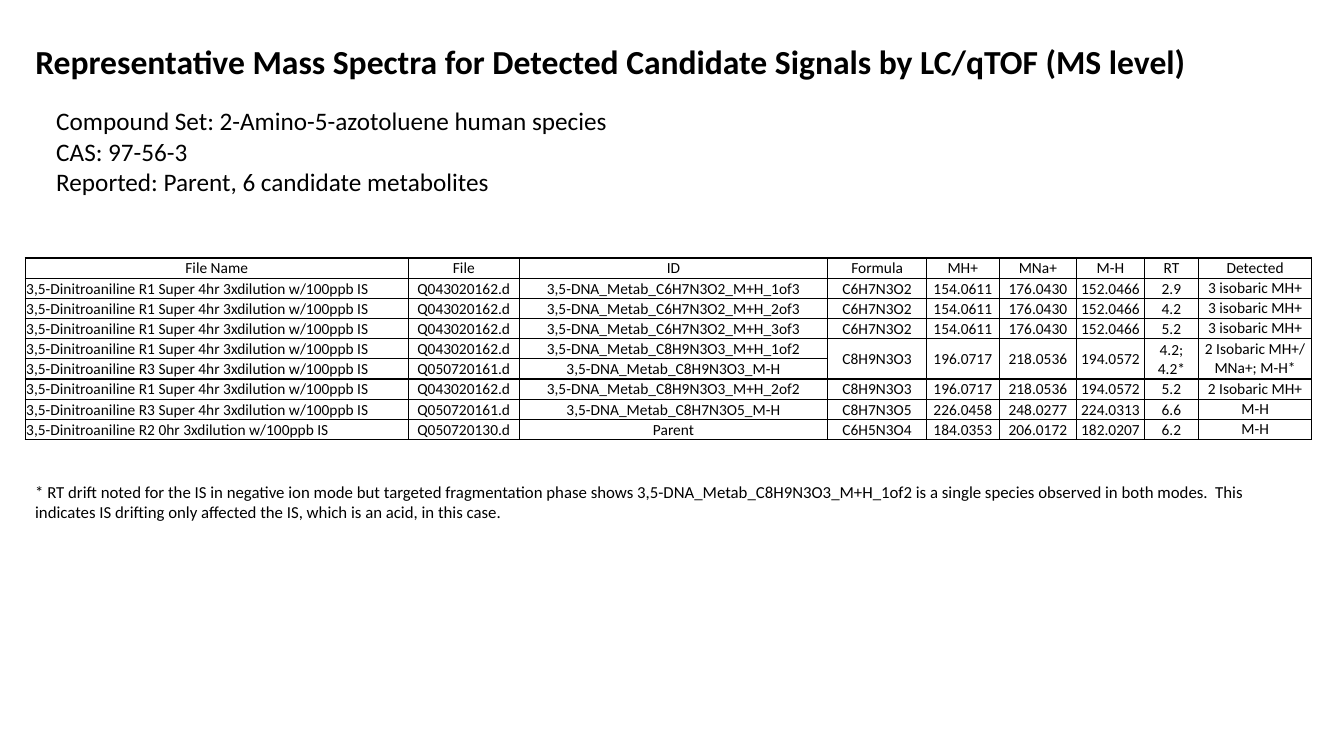
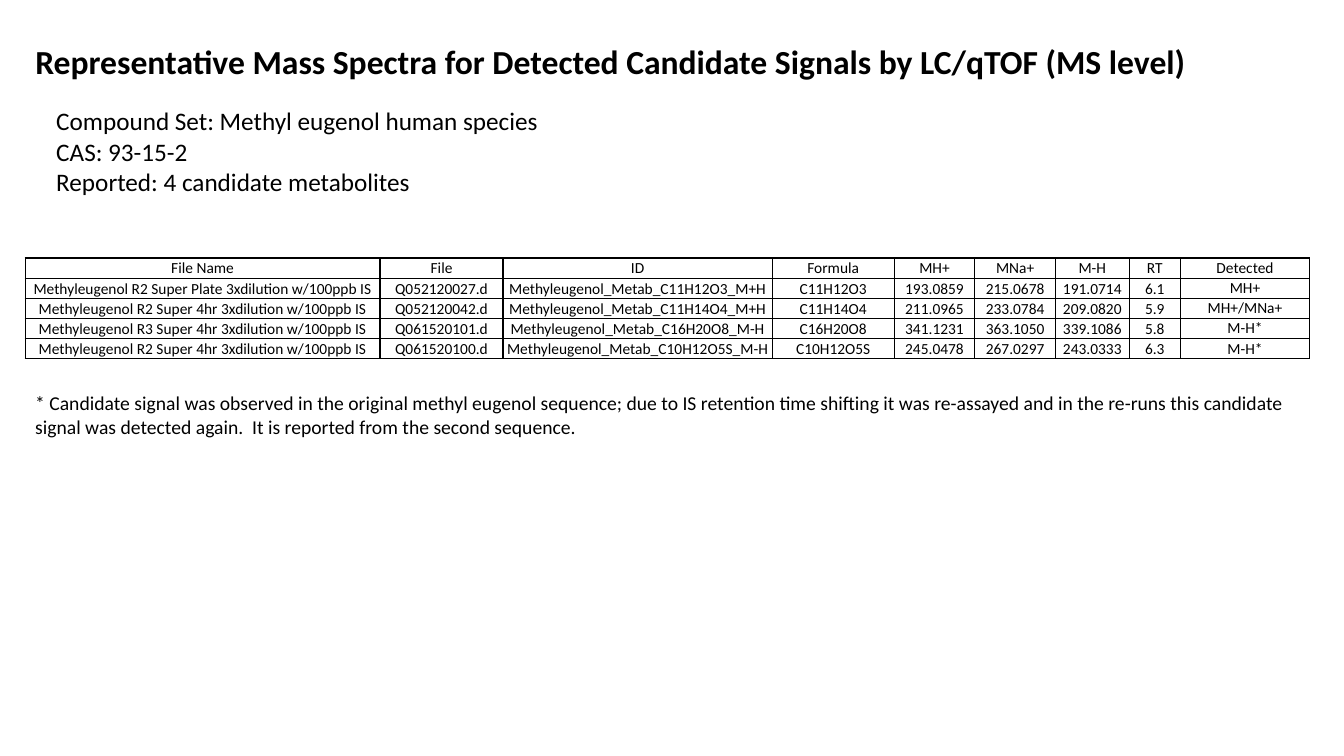
from lxml.etree import SubElement as Sub
from pptx import Presentation
from pptx.dml.color import RGBColor
from pptx.enum.text import MSO_ANCHOR as Anchor, MSO_AUTO_SIZE as Auto, PP_ALIGN as Align
from pptx.oxml.ns import qn
from pptx.util import Inches, Pt

# Shared style
FONT, INK = "Calibri", "000000"
LEFT, WIDTH = 0.25, 12.75
ROW = 0.2
TITLE = "Representative Mass Spectra for Detected Candidate Signals by LC/qTOF (MS level)"
HEAD = ("File Name", "File", "ID", "Formula", "MH+", "MNa+", "M-H", "RT", "Detected")

# Slide content; None continues the cell above
SLIDES = [
    dict(
        facts=("Compound Set: 2-Amino-5-azotoluene human species", "CAS: 97-56-3",
               "Reported: Parent, 6 candidate metabolites"),
        name="3,5-Dinitroaniline {} 3xdilution w/100ppb IS",
        align=Align.LEFT,
        cols=(3.8, 1.1, 3.06, 0.98, 0.72, 0.77, 0.67, 0.54, 1.12),
        rows=[
            ("R1 Super 4hr", "Q043020162.d", "3,5-DNA_Metab_C6H7N3O2_M+H_1of3", "C6H7N3O2",
             "154.0611", "176.0430", "152.0466", "2.9", "3 isobaric MH+"),
            ("R1 Super 4hr", "Q043020162.d", "3,5-DNA_Metab_C6H7N3O2_M+H_2of3", "C6H7N3O2",
             "154.0611", "176.0430", "152.0466", "4.2", "3 isobaric MH+"),
            ("R1 Super 4hr", "Q043020162.d", "3,5-DNA_Metab_C6H7N3O2_M+H_3of3", "C6H7N3O2",
             "154.0611", "176.0430", "152.0466", "5.2", "3 isobaric MH+"),
            ("R1 Super 4hr", "Q043020162.d", "3,5-DNA_Metab_C8H9N3O3_M+H_1of2", "C8H9N3O3",
             "196.0717", "218.0536", "194.0572", "4.2; 4.2*", "2 Isobaric MH+/ MNa+; M-H*"),
            ("R3 Super 4hr", "Q050720161.d", "3,5-DNA_Metab_C8H9N3O3_M-H") + (None,) * 6,
            ("R1 Super 4hr", "Q043020162.d", "3,5-DNA_Metab_C8H9N3O3_M+H_2of2", "C8H9N3O3",
             "196.0717", "218.0536", "194.0572", "5.2", "2 Isobaric MH+"),
            ("R3 Super 4hr", "Q050720161.d", "3,5-DNA_Metab_C8H7N3O5_M-H", "C8H7N3O5",
             "226.0458", "248.0277", "224.0313", "6.6", "M-H"),
            ("R2 0hr", "Q050720130.d", "Parent", "C6H5N3O4",
             "184.0353", "206.0172", "182.0207", "6.2", "M-H"),
        ],
        note="* RT drift noted for the IS in negative ion mode but targeted fragmentation phase "
             "shows 3,5-DNA_Metab_C8H9N3O3_M+H_1of2 is a single species observed in both modes.  "
             "This indicates IS drifting only affected the IS, which is an acid, in this case.",
        top=4.73, size=12),
    dict(
        facts=("Compound Set: Methyl eugenol human species", "CAS: 93-15-2",
               "Reported: 4 candidate metabolites"),
        name="Methyleugenol {} 3xdilution w/100ppb IS",
        align=Align.CENTER,
        cols=(3.52, 1.22, 2.67, 1.21, 0.8, 0.8, 0.73, 0.51, 1.28),
        rows=[
            ("R2 Super Plate", "Q052120027.d", "Methyleugenol_Metab_C11H12O3_M+H", "C11H12O3",
             "193.0859", "215.0678", "191.0714", "6.1", "MH+"),
            ("R2 Super 4hr", "Q052120042.d", "Methyleugenol_Metab_C11H14O4_M+H", "C11H14O4",
             "211.0965", "233.0784", "209.0820", "5.9", "MH+/MNa+"),
            ("R3 Super 4hr", "Q061520101.d", "Methyleugenol_Metab_C16H20O8_M-H", "C16H20O8",
             "341.1231", "363.1050", "339.1086", "5.8", "M-H*"),
            ("R2 Super 4hr", "Q061520100.d", "Methyleugenol_Metab_C10H12O5S_M-H", "C10H12O5S",
             "245.0478", "267.0297", "243.0333", "6.3", "M-H*"),
        ],
        note="* Candidate signal was observed in the original methyl eugenol sequence; due to IS "
             "retention time shifting it was re-assayed and in the re-runs this candidate signal "
             "was detected again.  It is reported from the second sequence.",
        top=3.83, size=14),
]


def write(frame, lines, size, bold=False, align=Align.LEFT):
    frame.word_wrap = True
    for i, line in enumerate(lines):
        para = frame.add_paragraph() if i else frame.paragraphs[0]
        para.alignment = align
        run = para.add_run()
        run.text = line
        font = run.font
        font.name, font.size, font.bold = FONT, Pt(size), bold
        font.color.rgb = RGBColor.from_string(INK)


def style(cell, inset, anchor):
    cell.margin_left = cell.margin_right = cell.margin_top = Inches(inset)
    cell.margin_bottom = 0
    cell.vertical_anchor = anchor
    props = cell._tc.get_or_add_tcPr()
    for side in ("lnL", "lnR", "lnT", "lnB"):
        line = Sub(props, qn("a:" + side), w=str(Pt(1)))
        Sub(Sub(line, qn("a:solidFill")), qn("a:srgbClr"), val=INK)
    cell.fill.background()


deck = Presentation()
deck.slide_width, deck.slide_height = Inches(13.33), Inches(7.5)

for data in SLIDES:
    slide = deck.slides.add_slide(deck.slide_layouts[5])
    shapes = slide.shapes

    # Title
    title = shapes.title
    title.left, title.top = Inches(LEFT), Inches(0.36)
    title.width, title.height = Inches(WIDTH), Inches(0.5)
    title.text_frame.auto_size = Auto.NONE
    title.text_frame.vertical_anchor = Anchor.TOP
    write(title.text_frame, [TITLE], 24, bold=True)

    # Compound facts and footnote
    facts = shapes.add_textbox(Inches(0.46), Inches(1), Inches(7.44), Inches(1.31))
    write(facts.text_frame, data["facts"], 18)
    note = shapes.add_textbox(Inches(LEFT), Inches(data["top"]), Inches(WIDTH), Inches(0.5))
    write(note.text_frame, [data["note"]], data["size"])

    # Table of signals
    rows = [HEAD] + [(data["name"].format(row[0]),) + row[1:] for row in data["rows"]]
    table = shapes.add_table(len(rows), len(HEAD), Inches(LEFT), Inches(2.56),
                             Inches(WIDTH), Inches(ROW * len(rows))).table
    table.first_row = table.horz_banding = False
    for col, width in zip(table.columns, data["cols"]):
        col.width = Inches(width)
    for r, row in enumerate(rows):
        table.rows[r].height = Inches(ROW)
        for c, text in enumerate(row):
            cell = table.cell(r, c)
            tight = r == 0 or c == len(HEAD) - 1
            style(cell, 0 if tight else 0.01, Anchor.MIDDLE if tight else Anchor.BOTTOM)
            if text is None:
                above = table.cell(r - 1, c)
                above.merge(cell)
                above.vertical_anchor = Anchor.MIDDLE
            else:
                align = data["align"] if r and c == 0 else Align.CENTER
                write(cell.text_frame, [text], 11, align=align)

deck.save("out.pptx")
